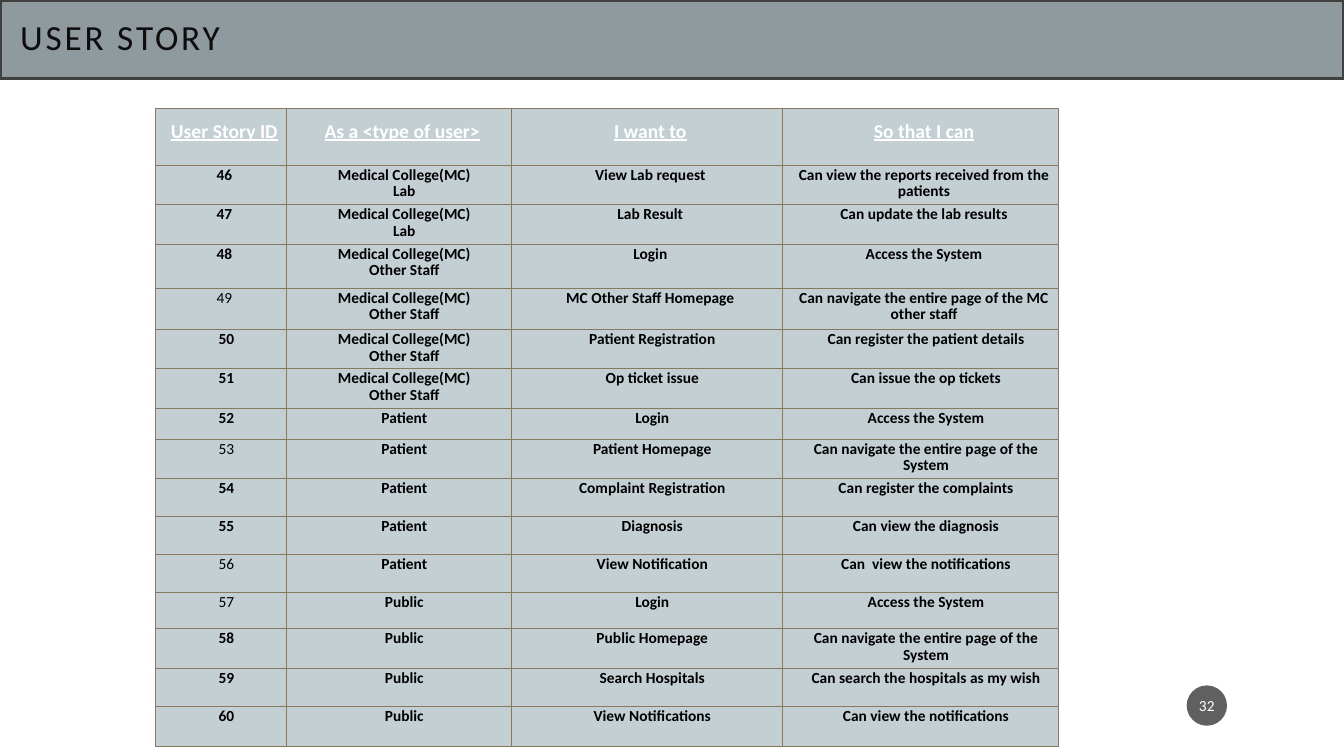
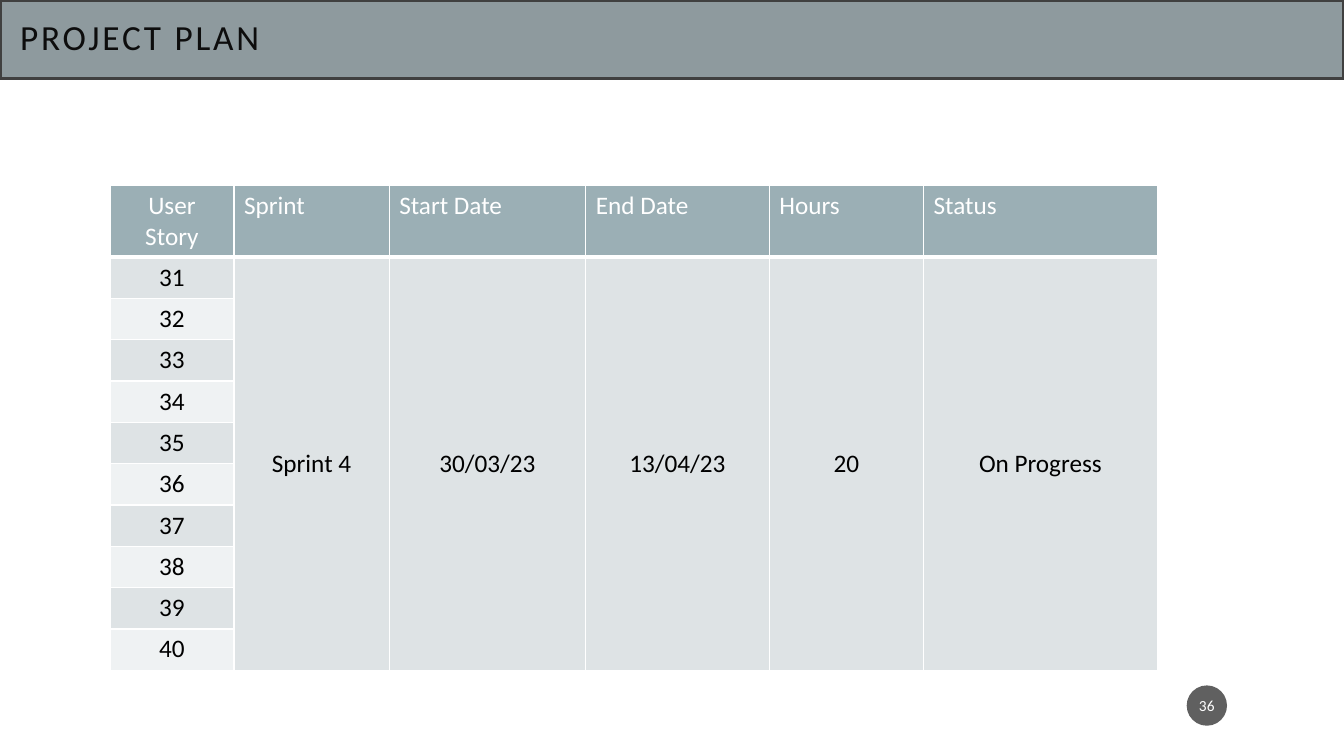
from lxml.etree import SubElement
from pptx import Presentation
from pptx.dml.color import RGBColor
from pptx.enum.shapes import MSO_SHAPE
from pptx.enum.text import MSO_ANCHOR, PP_ALIGN
from pptx.oxml.ns import qn
from pptx.util import Inches, Pt

FONT = "Calibri"
WHITE = RGBColor(0xFF, 0xFF, 0xFF)
BLACK = RGBColor(0, 0, 0)
BAND = RGBColor(0x8E, 0x9A, 0x9E)
BAND_LINE = RGBColor(0x40, 0x40, 0x40)
TITLE = RGBColor(0x0D, 0x0D, 0x0D)
BADGE = RGBColor(0x1D, 0x1D, 0x1D)
STORY_FILL = RGBColor(0xC3, 0xCF, 0xD3)
STORY_LINE = RGBColor(0x87, 0x79, 0x5D)
PLAN_HEAD = RGBColor(0x9B, 0xAF, 0xB5)
PLAN_BANDS = (RGBColor(0xDE, 0xE3, 0xE5), RGBColor(0xEF, 0xF2, 0xF3))

LAB = "Medical College(MC)\nLab"
STAFF = "Medical College(MC)\nOther Staff"
STORY_HEAD = ("User Story ID", "As a <type of user>", "I want to", "So that I can")
STORY_COLS = (1.3, 2.23, 2.69, 2.74)
STORY_HEAD_HEIGHT = 0.57
FIRST_STORY = 46
LIGHT_IDS = (49, 53, 56, 57)
NARROW_INDENT_IDS = range(46, 50)
# Row height, user, wish, purpose
STORIES = (
    (0.39, LAB, "View Lab request", "Can view the reports received from the patients"),
    (0.39, LAB, "Lab Result", "Can update the lab results"),
    (0.44, STAFF, "Login", "Access the System"),
    (0.41, STAFF, "MC Other Staff Homepage",
     "Can navigate the entire page of the MC other staff"),
    (0.39, STAFF, "Patient Registration", "Can register the patient details"),
    (0.39, STAFF, "Op ticket issue", "Can issue the op tickets"),
    (0.31, "Patient", "Login", "Access the System"),
    (0.39, "Patient", "Patient Homepage", "Can navigate the entire page of the System"),
    (0.37, "Patient", "Complaint Registration", "Can register the complaints"),
    (0.38, "Patient", "Diagnosis", "Can view the diagnosis"),
    (0.38, "Patient", "View Notification", "Can  view the notifications"),
    (0.36, "Public", "Login", "Access the System"),
    (0.39, "Public", "Public Homepage", "Can navigate the entire page of the System"),
    (0.38, "Public", "Search Hospitals", "Can search the hospitals as my wish"),
    (0.4, "Public", "View Notifications", "Can view the notifications"),
)

PLAN_HEADINGS = ("User Story", "Sprint", "Start Date", "End Date", "Hours", "Status")
PLAN_COLS = (1.23, 1.54, 1.95, 1.82, 1.53, 2.32)
PLAN_SPRINT = ("Sprint 4", "30/03/23", "13/04/23", "20", "On Progress")
PLAN_IDS = range(31, 41)


def add_text(tf, text, size, color, align=PP_ALIGN.LEFT, bold=False,
             underline=False, indent=0, spacing=None):
    """Write one paragraph per line of text and return the last run."""
    for i, line in enumerate(text.split("\n")):
        p = tf.add_paragraph() if i else tf.paragraphs[0]
        p.alignment = align
        if spacing:
            p.line_spacing = spacing
        if indent:
            p._p.get_or_add_pPr().set("marL", str(Inches(indent)))
        r = p.add_run()
        r.text = line
        r.font.name, r.font.size = FONT, Pt(size)
        r.font.bold, r.font.underline = bold, underline
        r.font.color.rgb = color
    return r


def add_box(s, kind, left, top, width, height, fill, margins):
    sp = s.shapes.add_shape(kind, Inches(left), Inches(top), Inches(width), Inches(height))
    sp.shadow.inherit = False
    sp.fill.solid()
    sp.fill.fore_color.rgb = fill
    tf = sp.text_frame
    tf.word_wrap = True
    tf.vertical_anchor = MSO_ANCHOR.MIDDLE
    tf.margin_left = tf.margin_right = Inches(margins[0])
    tf.margin_top = tf.margin_bottom = Inches(margins[1])
    return sp


def add_frame(prs, title, number):
    """Add a slide with its title band and page badge."""
    s = prs.slides.add_slide(prs.slide_layouts[6])
    band = add_box(s, MSO_SHAPE.RECTANGLE, 0, 0, 13.33, 0.78, BAND, (0.2, 0.2))
    band.line.color.rgb = BAND_LINE
    band.line.width = Pt(2.5)
    r = add_text(band.text_frame, title, 25.2, TITLE, spacing=0.9)
    r.font._element.set("spc", "200")

    badge = add_box(s, MSO_SHAPE.OVAL, 11.77, 6.8, 0.4, 0.4, BADGE, (0.02, 0.05))
    badge.line.fill.background()
    color = badge.fill._xPr.find(".//" + qn("a:srgbClr"))
    SubElement(color, qn("a:alpha"), val="70000")
    add_text(badge.text_frame, str(number), 11, WHITE, PP_ALIGN.CENTER)
    return s


def add_grid(s, left, top, cols, rows):
    """Add an unstyled table with the given column widths and row heights."""
    table = s.shapes.add_table(len(rows), len(cols), Inches(left), Inches(top),
                               Inches(sum(cols)), Inches(sum(rows))).table
    table.first_row = table.horz_banding = False
    for col, width in zip(table.columns, cols):
        col.width = Inches(width)
    for row, height in zip(table.rows, rows):
        row.height = Inches(height)
    return table


def style_cell(cell, fill, line, width, **side_widths):
    """Draw the four borders, then the fill."""
    tcPr = cell._tc.get_or_add_tcPr()
    for side in "LRTB":
        ln = SubElement(tcPr, qn("a:ln" + side), w=str(Pt(side_widths.get(side, width))))
        SubElement(SubElement(ln, qn("a:solidFill")), qn("a:srgbClr"), val=str(line))
    cell.fill.solid()
    cell.fill.fore_color.rgb = fill


def add_story_cell(cell, text, size, color, top=0.03, **style):
    style_cell(cell, STORY_FILL, STORY_LINE, 0.5)
    cell.margin_left = cell.margin_right = Inches(0.06)
    cell.margin_top, cell.margin_bottom = Inches(top), Inches(0.03)
    add_text(cell.text_frame, text, size, color, PP_ALIGN.CENTER,
             spacing=Pt(11.7), **style)


def add_story_slide(prs):
    s = add_frame(prs, "USER STORY", 32)
    heights = [STORY_HEAD_HEIGHT] + [story[0] for story in STORIES]
    table = add_grid(s, 1.54, 1.07, STORY_COLS, heights)
    # Heading row, set one line lower
    for c, text in enumerate(STORY_HEAD):
        add_story_cell(table.cell(0, c), text, 14, WHITE, top=0.19,
                       bold=True, underline=True, indent=0.07)
    # Stories
    for row, (_, *texts) in enumerate(STORIES, 1):
        number = FIRST_STORY + row - 1
        for c, text in enumerate([str(number)] + texts):
            narrow = number in NARROW_INDENT_IDS and c != 1
            add_story_cell(table.cell(row, c), text, 11, BLACK,
                           bold=c > 0 or number not in LIGHT_IDS,
                           indent=0.07 if narrow else 0.11)


def add_plan_slide(prs):
    s = add_frame(prs, "PROJECT PLAN", 36)
    table = add_grid(s, 1.09, 1.84, PLAN_COLS, [0.7] + [0.41] * len(PLAN_IDS))
    # Heading row
    for c, text in enumerate(PLAN_HEADINGS):
        cell = table.cell(0, c)
        style_cell(cell, PLAN_HEAD, WHITE, 1, B=3)
        add_text(cell.text_frame, text, 18, WHITE,
                 PP_ALIGN.LEFT if c else PP_ALIGN.CENTER)
    # Story numbers in alternating bands
    for row, number in enumerate(PLAN_IDS, 1):
        top = {"T": 3} if row == 1 else {}
        for c in range(len(PLAN_COLS)):
            fill = PLAN_BANDS[0 if c else (row - 1) % 2]
            style_cell(table.cell(row, c), fill, WHITE, 1, **top)
        add_text(table.cell(row, 0).text_frame, str(number), 18, BLACK, PP_ALIGN.CENTER)
    # Sprint details across all stories
    for c, text in enumerate(PLAN_SPRINT, 1):
        cell = table.cell(1, c)
        cell.merge(table.cell(len(PLAN_IDS), c))
        cell.vertical_anchor = MSO_ANCHOR.MIDDLE
        add_text(cell.text_frame, text, 18, BLACK, PP_ALIGN.CENTER)


def main():
    prs = Presentation()
    prs.slide_width, prs.slide_height = Inches(13.33), Inches(7.5)
    add_story_slide(prs)
    add_plan_slide(prs)
    prs.save("out.pptx")


if __name__ == "__main__":
    main()
